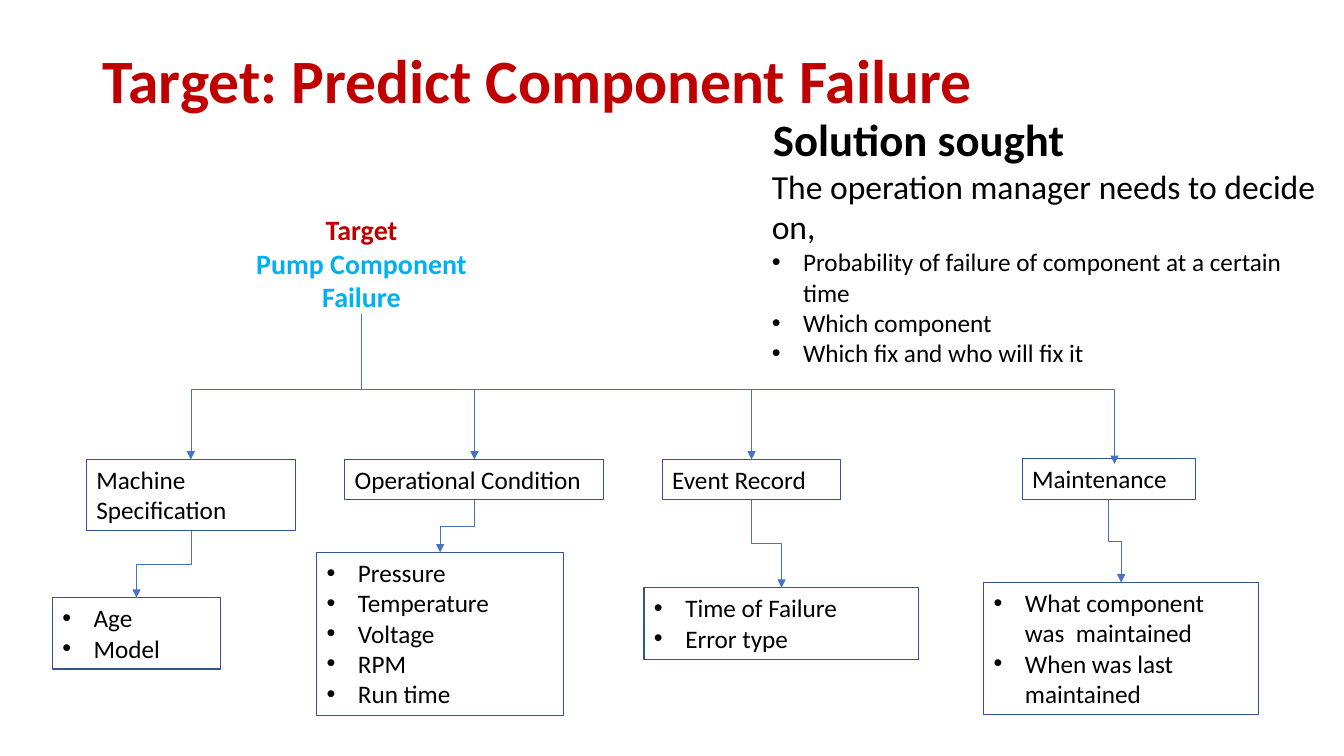
from dataclasses import dataclass

from lxml.etree import SubElement
from pptx import Presentation
from pptx.dml.color import RGBColor
from pptx.enum.shapes import MSO_CONNECTOR, MSO_SHAPE
from pptx.enum.text import MSO_ANCHOR as Anchor, PP_ALIGN as Align
from pptx.oxml.ns import qn
from pptx.util import Cm, Pt

BLACK, RED, SKY = "000000", "C00000", "00B0F0"
BOX_LINE, ARROW_LINE = "325491", "4472C4"
BULLET_INDENT = Cm(0.79)


@dataclass(frozen=True)
class Box:
    """A rectangle in centimetres."""
    left: float
    top: float
    width: float
    height: float

    @property
    def center(self) -> float:
        return self.left + self.width / 2

    @property
    def bottom(self) -> float:
        return self.top + self.height

    def lengths(self) -> list:
        return [Cm(value) for value in (self.left, self.top, self.width, self.height)]


@dataclass(frozen=True)
class Line:
    """One paragraph of text."""
    text: str
    size: float = 18
    color: str = BLACK
    bold: bool = False
    bullet: bool = False
    align: Align = Align.LEFT


@dataclass(frozen=True)
class Branch:
    """A data source with its details; the arrow can be shifted and overlap the boxes."""
    name: str
    header: Box
    details: list[str]
    details_box: Box
    arrow_shift: float = 0
    arrow_overlap: float = 0


TITLE_BOX = Box(2.34, 1.02, 29.21, 2.16)
SOLUTION_HEADING_BOX = Box(19.23, 2.69, 9.35, 1.63)
SOLUTION_BOX = Box(19.2, 4.06, 14.2, 5.38)
TARGET_BOX = Box(6.1, 5.23, 6.02, 2.82)

SOLUTION_POINTS = [
    "Probability of failure of component at a certain time",
    "Which component",
    "Which fix and who will fix it",
]

BRANCHES = [
    Branch("Machine Specification", Box(2.18, 11.58, 5.26, 1.8),
           ["Age", "Model"], Box(1.32, 15.06, 4.24, 1.8)),
    Branch("Operational Condition", Box(8.69, 11.58, 6.53, 1.02),
           ["Pressure", "Temperature", "Voltage", "RPM", "Run time"],
           Box(7.98, 13.92, 6.22, 4.11)),
    Branch("Event Record", Box(16.69, 11.58, 4.5, 1.02),
           ["Time of Failure", "Error type"], Box(16.23, 14.81, 6.93, 1.8)),
    Branch("Maintenance", Box(25.76, 11.56, 4.37, 1.02),
           ["What component was  maintained", "When was last maintained"],
           Box(24.79, 14.68, 6.93, 3.33), arrow_shift=0.14, arrow_overlap=0.13),
]


def rgb(color: str) -> RGBColor:
    return RGBColor.from_string(color)


def bullets(texts: list[str]) -> list[Line]:
    return [Line(text, bullet=True) for text in texts]


def write_lines(text_frame, lines: list[Line]) -> None:
    text_frame.word_wrap = True
    text_frame.text = "\n".join(line.text for line in lines)
    for paragraph, line in zip(text_frame.paragraphs, lines):
        paragraph.alignment = line.align
        font = paragraph.runs[0].font
        font.name = "Calibri"
        font.size = Pt(line.size)
        font.bold = line.bold
        font.color.rgb = rgb(line.color)
        if line.bullet:
            properties = paragraph._p.get_or_add_pPr()
            properties.set("marL", str(BULLET_INDENT))
            properties.set("indent", str(-BULLET_INDENT))
            SubElement(properties, qn("a:buFont")).set("typeface", "Arial")
            SubElement(properties, qn("a:buChar")).set("char", "•")


def add_text(slide, box: Box, lines: list[Line]):
    text_box = slide.shapes.add_textbox(*box.lengths())
    write_lines(text_box.text_frame, lines)
    return text_box


def add_framed_text(slide, box: Box, lines: list[Line]) -> None:
    shape = slide.shapes.add_shape(MSO_SHAPE.RECTANGLE, *box.lengths())
    shape.shadow.inherit = False
    shape.fill.background()
    shape.line.color.rgb = rgb(BOX_LINE)
    shape.line.width = Pt(0.75)
    shape.text_frame.vertical_anchor = Anchor.TOP
    write_lines(shape.text_frame, lines)


def add_elbow_arrow(slide, start_x: float, start_y: float, end_x: float, end_y: float) -> None:
    """Draw a down-across-down arrow as an elbow connector turned by a quarter."""
    length, spread = end_y - start_y, abs(end_x - start_x)
    left = (start_x + end_x - length) / 2
    top = (start_y + end_y - spread) / 2
    begin, end = left, left + length
    rotation = 90
    if end_x > start_x:
        begin, end = end, begin
        rotation = 270
    connector = slide.shapes.add_connector(
        MSO_CONNECTOR.ELBOW, Cm(begin), Cm(top), Cm(end), Cm(top + spread))
    connector.line.color.rgb = rgb(ARROW_LINE)
    connector.line.width = Pt(0.5)
    properties = connector._element.spPr
    properties.find(qn("a:xfrm")).set("rot", str(rotation * 60000))
    SubElement(properties.find(qn("a:ln")), qn("a:tailEnd")).set("type", "triangle")
    SubElement(properties, qn("a:effectLst"))


def add_branch(slide, branch: Branch) -> None:
    header, details_box = branch.header, branch.details_box
    add_framed_text(slide, header, [Line(branch.name)])
    add_framed_text(slide, details_box, bullets(branch.details))
    add_elbow_arrow(slide, TARGET_BOX.center, TARGET_BOX.bottom - branch.arrow_overlap,
                    header.center + branch.arrow_shift, header.top + branch.arrow_overlap)
    add_elbow_arrow(slide, header.center, header.bottom, details_box.center, details_box.top)


def main() -> None:
    presentation = Presentation()
    presentation.slide_width, presentation.slide_height = Cm(33.87), Cm(19.05)
    slide = presentation.slides.add_slide(presentation.slide_layouts[6])

    # Title
    title = add_text(slide, TITLE_BOX,
                     [Line("Target: Predict Component Failure", 44, RED, bold=True)])
    title.text_frame.vertical_anchor = Anchor.MIDDLE
    title.text_frame.paragraphs[0].line_spacing = 0.9

    # Solution sought
    add_text(slide, SOLUTION_HEADING_BOX, [Line("Solution sought", 32, bold=True)])
    add_text(slide, SOLUTION_BOX,
             [Line("The operation manager needs to decide on,", 24), *bullets(SOLUTION_POINTS)])

    # Target and its branches
    add_text(slide, TARGET_BOX, [
        Line("Target", 20, RED, bold=True, align=Align.CENTER),
        Line("Pump Component Failure", 20, SKY, bold=True, align=Align.CENTER),
    ])
    for branch in BRANCHES:
        add_branch(slide, branch)

    presentation.save("out.pptx")


if __name__ == "__main__":
    main()
